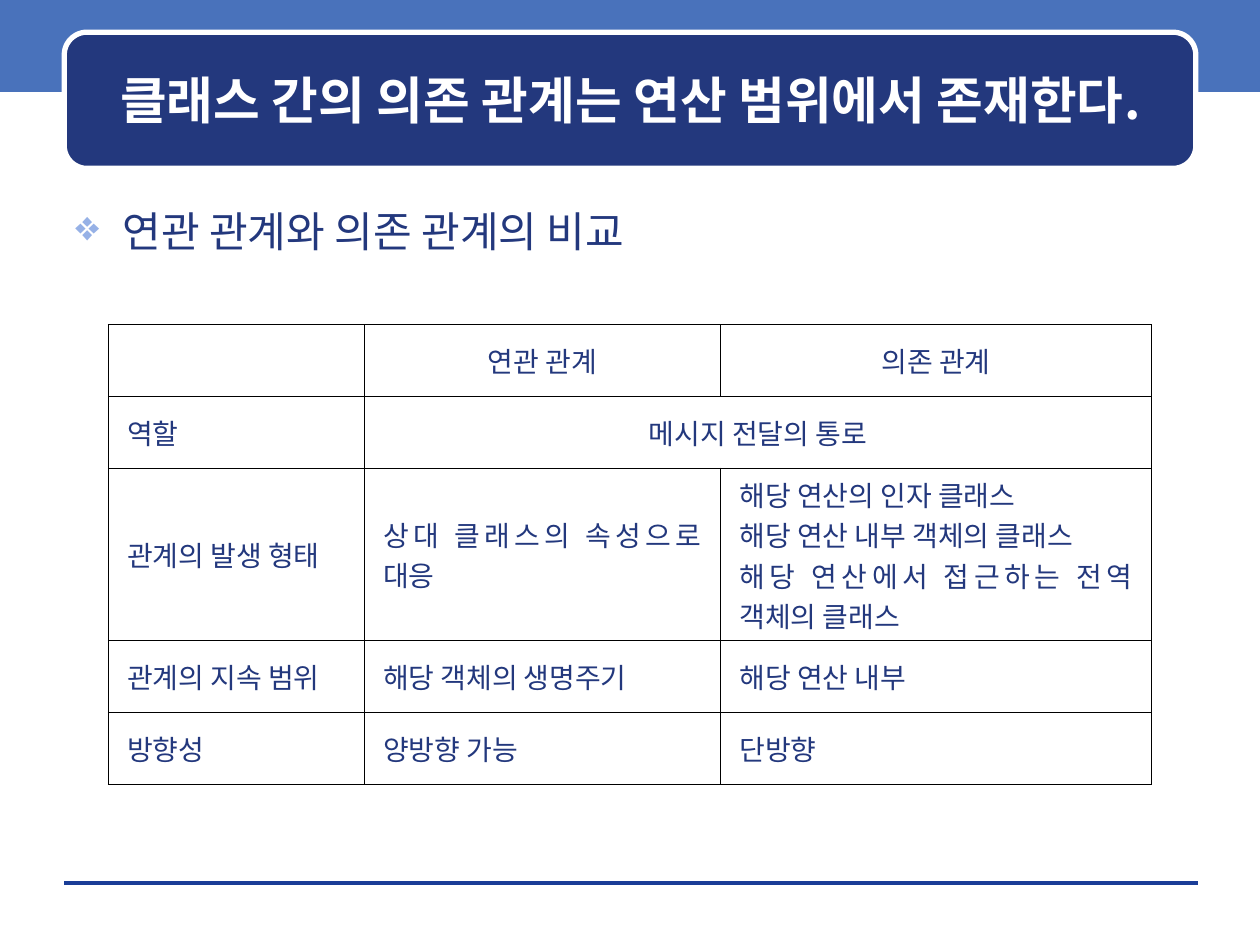
import pptx
import pptx.util
from lxml import etree
from pptx.dml.color import RGBColor
from pptx.enum.shapes import MSO_CONNECTOR, MSO_SHAPE
from pptx.enum.text import MSO_ANCHOR, PP_ALIGN
from pptx.oxml.ns import qn

Pt = pptx.util.Pt

FONT = "Noto Sans CJK KR"
NAVY = RGBColor(0x23, 0x38, 0x7D)
BAND_BLUE = RGBColor(0x49, 0x72, 0xBB)
RULE_BLUE = RGBColor(0x1A, 0x3D, 0x97)
BULLET_BLUE = RGBColor(0x96, 0xB1, 0xE6)
WHITE = RGBColor(0xFF, 0xFF, 0xFF)
BLACK = RGBColor(0, 0, 0)

TITLE = "클래스 간의 의존 관계는 연산 범위에서 존재한다."
HEADING = "연관 관계와 의존 관계의 비교"
COMPARISON = [
    ["", "연관 관계", "의존 관계"],
    ["역할", "메시지 전달의 통로", None],  # None: merged into the cell to its left
    ["관계의 발생 형태", "상대 클래스의 속성으로 대응",
     "해당 연산의 인자 클래스\n해당 연산 내부 객체의 클래스\n"
     "해당 연산에서 접근하는 전역 객체의 클래스"],
    ["관계의 지속 범위", "해당 객체의 생명주기", "해당 연산 내부"],
    ["방향성", "양방향 가능", "단방향"],
]
COLUMN_WIDTHS = [146.2, 203.8, 246.2]
ROW_HEIGHTS = [41, 41, 98.6, 41, 41]


def box(left, top, width, height):
    return Pt(left), Pt(top), Pt(width), Pt(height)


def set_font(paragraph, size, color, bold=False):
    """Set the same typeface for Latin and Korean text."""
    font = paragraph.font
    font.size, font.bold, font.name = Pt(size), bold, FONT
    font.color.rgb = color
    properties = paragraph._p.pPr.find(qn("a:defRPr"))
    etree.SubElement(properties, qn("a:ea"), typeface=FONT)


def add_bullet(paragraph, char, color, indent):
    properties = paragraph._p.get_or_add_pPr()
    properties.set("marL", str(Pt(indent)))
    properties.set("indent", str(-Pt(indent)))
    bullet_color = etree.SubElement(properties, qn("a:buClr"))
    etree.SubElement(bullet_color, qn("a:srgbClr"), val=str(color))
    etree.SubElement(properties, qn("a:buChar"), char=char)


def add_borders(cell, color, width):
    properties = cell._tc.get_or_add_tcPr()
    for position, side in enumerate(("lnL", "lnR", "lnT", "lnB")):
        border = etree.Element(qn(f"a:{side}"), w=str(Pt(width)))
        fill = etree.SubElement(border, qn("a:solidFill"))
        etree.SubElement(fill, qn("a:srgbClr"), val=str(color))
        properties.insert(position, border)


def add_panel(slide, preset, place, fill):
    panel = slide.shapes.add_shape(preset, *place)
    panel.shadow.inherit = False
    panel.fill.solid()
    panel.fill.fore_color.rgb = fill
    panel.line.fill.background()
    return panel


def add_frame(slide):
    add_panel(slide, MSO_SHAPE.RECTANGLE, box(0, -2.2, 720, 54.7), BAND_BLUE)
    footer_rule = slide.shapes.add_connector(
        MSO_CONNECTOR.STRAIGHT, Pt(36.7), Pt(504.7), Pt(684.7), Pt(504.7))
    footer_rule.line.color.rgb = RULE_BLUE
    footer_rule.line.width = Pt(0)
    etree.SubElement(footer_rule._element.spPr, qn("a:effectLst"))
    title_panel = add_panel(slide, MSO_SHAPE.ROUNDED_RECTANGLE,
                            box(36.7, 18.4, 646.6, 77.8), NAVY)
    title_panel.line.color.rgb = WHITE
    title_panel.line.width = Pt(3)


def add_title(slide):
    title = slide.shapes.title
    slide.shapes._spTree.append(title._element)  # in front of its panel
    title.left, title.top, title.width, title.height = box(43.2, 25.2, 634.3, 63.4)
    title.text_frame.text = TITLE
    title.text_frame.vertical_anchor = MSO_ANCHOR.MIDDLE
    paragraph = title.text_frame.paragraphs[0]
    paragraph.alignment = PP_ALIGN.CENTER
    set_font(paragraph, 29, WHITE, bold=True)


def add_heading(slide):
    heading = slide.shapes.add_textbox(*box(36, 113.8, 648, 383.8)).text_frame
    heading.word_wrap = True
    heading.text = HEADING
    paragraph = heading.paragraphs[0]
    add_bullet(paragraph, "❖", BULLET_BLUE, 27)
    set_font(paragraph, 24, NAVY)


def add_comparison(slide):
    table = slide.shapes.add_table(
        len(ROW_HEIGHTS), len(COLUMN_WIDTHS),
        *box(61.9, 185.4, sum(COLUMN_WIDTHS), sum(ROW_HEIGHTS))).table
    table.first_row = table.horz_banding = False
    for column, width in zip(table.columns, COLUMN_WIDTHS):
        column.width = Pt(width)
    for row, height in zip(table.rows, ROW_HEIGHTS):
        row.height = Pt(height)
    for r, texts in enumerate(COMPARISON):
        for c, text in enumerate(texts):
            cell = table.cell(r, c)
            cell.fill.background()
            add_borders(cell, BLACK, 0.45)
            if text is None:
                table.cell(r, c - 1).merge(cell)
                continue
            cell.margin_left = cell.margin_right = Pt(10.8)
            cell.margin_top = cell.margin_bottom = Pt(3.6)
            cell.vertical_anchor = MSO_ANCHOR.MIDDLE
            cell.text = text
            centred = r == 0 or None in texts[c + 1:]
            if None in texts and c == 0:
                centred = False
            for paragraph in cell.text_frame.paragraphs:
                paragraph.alignment = PP_ALIGN.CENTER if centred else PP_ALIGN.JUSTIFY
                set_font(paragraph, 16, NAVY)


def main():
    deck = pptx.Presentation()
    deck.slide_width, deck.slide_height = Pt(720), Pt(540)
    slide = deck.slides.add_slide(deck.slide_layouts[5])
    add_frame(slide)
    add_title(slide)
    add_heading(slide)
    add_comparison(slide)
    deck.save("out.pptx")


if __name__ == "__main__":
    main()
